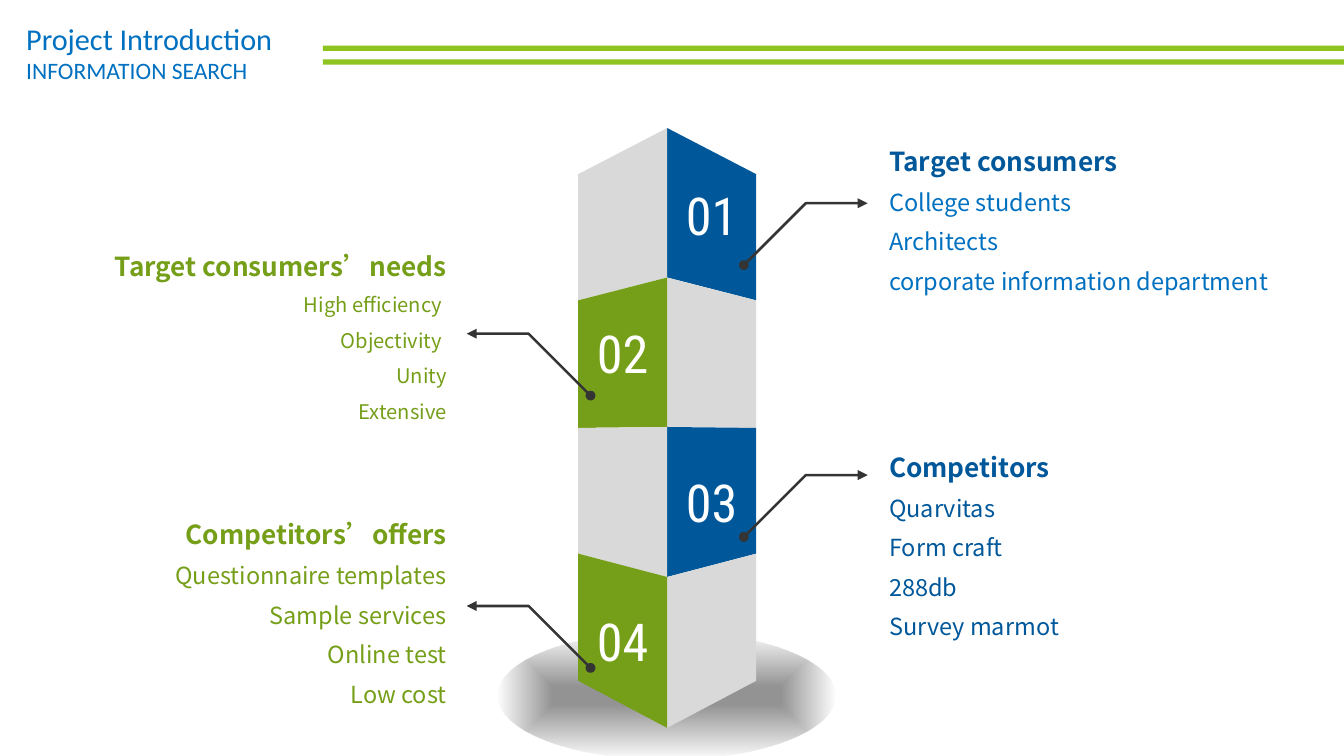
from lxml import etree
from pptx import Presentation
from pptx import util as u
from pptx.dml.color import RGBColor
from pptx.enum import shapes, text
from pptx.oxml import parse_xml
from pptx.oxml.ns import qn

BLUE, BRIGHT_BLUE, GREEN = "00589A", "0070C0", "769F19"
LIME, GRAY, DARK, WHITE = "8FC31F", "D9D9D9", "343434", "FFFFFF"
BODY_FONT = "Noto Sans CJK SC"
LEFT, CENTER, RIGHT = text.PP_ALIGN.LEFT, text.PP_ALIGN.CENTER, text.PP_ALIGN.RIGHT


def hex_color(value):
    return RGBColor.from_string(value)


def write(frame, content, size, color, font=BODY_FONT, bold=False,
          align=LEFT, after=0, line=None):
    first = frame.paragraphs[0]
    paragraph = frame.add_paragraph() if first.runs else first
    paragraph.alignment = align
    paragraph.space_after = u.Pt(after)
    if line:
        paragraph.line_spacing = u.Pt(line)
    run = paragraph.add_run()
    run.text = content
    run.font.size = u.Pt(size)
    run.font.bold = bold
    run.font.color.rgb = hex_color(color)
    run.font.name = font
    etree.SubElement(run.font._element, qn("a:ea"), typeface=font)


presentation = Presentation()
presentation.slide_width, presentation.slide_height = u.Cm(28.22), u.Cm(15.88)
slide = presentation.slides.add_slide(presentation.slide_layouts[6])

# Header bars
for top in (0.96, 1.25):
    bar = slide.shapes.add_shape(shapes.MSO_SHAPE.RECTANGLE,
                                 u.Cm(6.78), u.Cm(top), u.Cm(21.44), u.Cm(0.11))
    bar.shadow.inherit = False
    bar.fill.solid()
    bar.fill.fore_color.rgb = hex_color(LIME)
    bar.line.fill.background()

# Soft ground shade under the tower
ground = slide.shapes.add_shape(shapes.MSO_SHAPE.OVAL,
                                u.Cm(10.46), u.Cm(13.26), u.Cm(7.09), u.Cm(2.69))
ground.shadow.inherit = False
ground.line.fill.background()
gradient = parse_xml(
    '<a:gradFill xmlns:a="http://schemas.openxmlformats.org/drawingml/2006/main"><a:gsLst>'
    '<a:gs pos="15000"><a:srgbClr val="333333"><a:alpha val="52000"/></a:srgbClr></a:gs>'
    '<a:gs pos="100000"><a:srgbClr val="333333"><a:alpha val="0"/></a:srgbClr></a:gs>'
    '</a:gsLst><a:path path="shape">'
    '<a:fillToRect l="50000" t="50000" r="50000" b="50000"/></a:path></a:gradFill>')
ground._element.spPr.find(qn("a:prstGeom")).addnext(gradient)

# Tower: four floors, the numbered face alternates between right and left
MIDDLE, HALF_WIDTH = 14.01, 1.87
inner_levels = (2.69, 5.83, 8.97, 12.12, 15.29)
outer_levels = (3.66, 6.31, 8.99, 11.63, 14.3)
for floor in range(4):
    numbered_side = 1 if floor % 2 == 0 else -1
    for side in (1, -1):
        outer = MIDDLE + side * HALF_WIDTH
        builder = slide.shapes.build_freeform(u.Cm(MIDDLE), u.Cm(inner_levels[floor]))
        builder.add_line_segments([
            (u.Cm(outer), u.Cm(outer_levels[floor])),
            (u.Cm(outer), u.Cm(outer_levels[floor + 1])),
            (u.Cm(MIDDLE), u.Cm(inner_levels[floor + 1]))])
        face = builder.convert_to_shape()
        face.shadow.inherit = False
        face.line.fill.background()
        face.fill.solid()
        face.fill.fore_color.rgb = hex_color(GRAY)
        if side == numbered_side:
            face.fill.fore_color.rgb = hex_color(BLUE if side == 1 else GREEN)
            frame = face.text_frame
            frame.margin_left = frame.margin_right = 0
            frame.word_wrap = False
            frame.vertical_anchor = text.MSO_ANCHOR.MIDDLE
            write(frame, f"{floor + 1:02}", 31.1, WHITE,
                  font="Roboto Condensed", align=CENTER)

# Topics: side, text top, arrow level, heading, items, item size, item colour
topics = [
    (1, 2.92, 4.27, "Target consumers",
     ["College students", "Architects", "corporate information department"], 14, BRIGHT_BLUE),
    (-1, 5.13, 7.01, "Target consumers’needs",
     ["High efficiency ", "Objectivity ", "Unity", "Extensive"], 12, GREEN),
    (1, 9.35, 9.98, "Competitors",
     ["Quarvitas", "Form craft", "288db", "Survey marmot"], 14, BLUE),
    (-1, 10.77, 12.73, "Competitors’offers",
     ["Questionnaire templates", "Sample services", "Online test", "Low cost"], 14, GREEN),
]
STEP = 1.3
for side, top, level, heading, items, size, item_color in topics:
    left, width = (18.42, 9.7) if side == 1 else (0.93, 8.7)
    box = slide.shapes.add_textbox(u.Cm(left), u.Cm(top), u.Cm(width), u.Cm(3.84))
    box.text_frame.word_wrap = True
    align = LEFT if side == 1 else RIGHT
    write(box.text_frame, heading, 15.6, BLUE if side == 1 else GREEN,
          bold=True, align=align, after=6.7, line=18.7)
    for item in items:
        write(box.text_frame, item, size, item_color,
              align=align, after=6.7, line=1.2 * size)

    start = MIDDLE + side * 1.61
    builder = slide.shapes.build_freeform(u.Cm(start), u.Cm(level + STEP))
    builder.add_line_segments([
        (u.Cm(start + side * STEP), u.Cm(level)),
        (u.Cm(start + side * 2 * STEP), u.Cm(level))], close=False)
    arrow = builder.convert_to_shape()
    arrow.shadow.inherit = False
    arrow.fill.background()
    arrow.line.color.rgb = hex_color(DARK)
    arrow.line.width = u.Pt(1.5)
    line = arrow.line._get_or_add_ln()
    etree.SubElement(line, qn("a:headEnd"), type="oval")
    etree.SubElement(line, qn("a:tailEnd"), type="triangle")

# Title
title = slide.shapes.add_textbox(u.Cm(0.3), u.Cm(0.3), u.Cm(6.4), u.Cm(1.6))
title.text_frame.word_wrap = True
write(title.text_frame, "Project Introduction", 18, BRIGHT_BLUE, font="Calibri")
write(title.text_frame, "INFORMATION SEARCH", 14, BRIGHT_BLUE, font="Calibri")

presentation.save("out.pptx")
